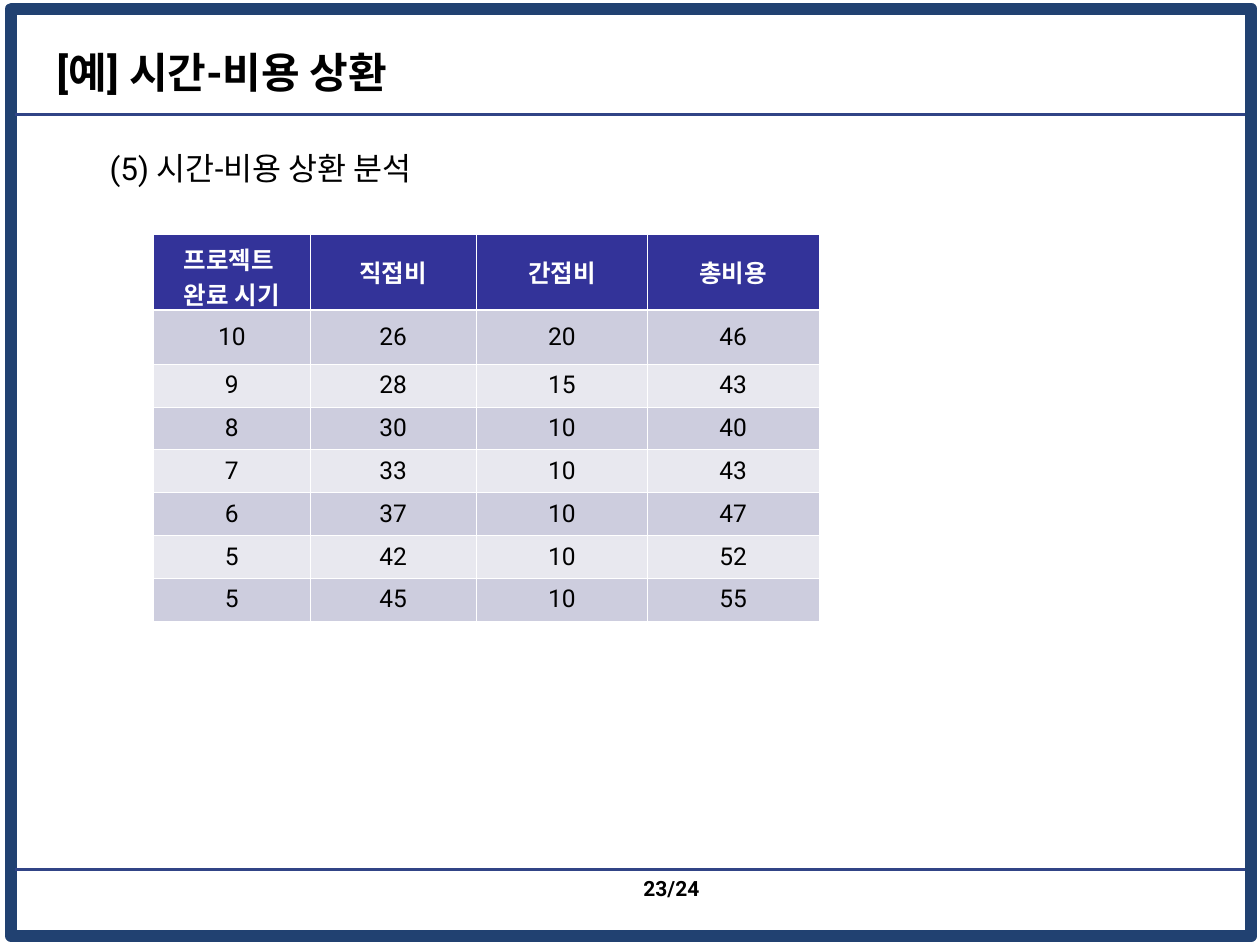
from dataclasses import dataclass

from lxml import etree
from pptx import Presentation
from pptx import util as u
from pptx.dml import color
from pptx.enum import shapes, text
from pptx.oxml import ns
from pptx.slide import Slide


def rgb(value):
    return color.RGBColor.from_string(value)


@dataclass
class CostSlide:
    slide: Slide
    font: str = "Roboto"
    ink: str = "000000"
    frame_color: str = "214171"
    rule_color: str = "314486"
    header_fill: str = "333399"
    bands: tuple = ("CDCDDE", "E8E8EF")
    grid_color: str = "FFFFFF"

    def style(self, paragraph, size, bold=False, ink=None):
        paragraph.font.name = self.font
        paragraph.font.size = u.Pt(size)
        paragraph.font.bold = bold
        paragraph.font.color.rgb = rgb(ink or self.ink)

    def place(self, holder, left, top, width, height):
        holder.left, holder.top = u.Inches(left), u.Inches(top)
        holder.width, holder.height = u.Inches(width), u.Inches(height)

    def frame(self, left, top, width, height):
        border = self.slide.shapes.add_shape(
            shapes.MSO_SHAPE.RECTANGLE,
            u.Inches(left), u.Inches(top), u.Inches(width), u.Inches(height))
        border.shadow.inherit = False
        border.fill.background()
        border.line.color.rgb = rgb(self.frame_color)
        border.line.width = u.Pt(7)

    def rule(self, left, right, top):
        line = self.slide.shapes.add_connector(
            shapes.MSO_CONNECTOR.STRAIGHT,
            u.Inches(left), u.Inches(top), u.Inches(right), u.Inches(top))
        line.line.color.rgb = rgb(self.rule_color)
        line.line.width = u.Pt(2)
        etree.SubElement(line._element.spPr, ns.qn("a:effectLst"))

    def title(self, wording, *box):
        heading = self.slide.shapes.title
        self.place(heading, *box)
        heading.text_frame.text = wording
        heading.text_frame.vertical_anchor = text.MSO_ANCHOR.MIDDLE
        heading.text_frame.auto_size = text.MSO_AUTO_SIZE.NONE
        paragraph = heading.text_frame.paragraphs[0]
        paragraph.alignment = text.PP_ALIGN.LEFT
        self.style(paragraph, 24, bold=True)

    def body(self, wording, *box):
        content = self.slide.placeholders[1]
        self.place(content, *box)
        content.text_frame.text = wording
        content.text_frame.auto_size = text.MSO_AUTO_SIZE.NONE
        paragraph = content.text_frame.paragraphs[0]
        paragraph.level = 1
        paragraph.line_spacing = 1.2
        paragraph.space_before = u.Pt(0)
        properties = paragraph._p.get_or_add_pPr()
        properties.set("marL", str(u.Inches(0.5)))
        properties.set("indent", "0")
        etree.SubElement(properties, ns.qn("a:buNone"))
        self.style(paragraph, 18)

    def page_number(self, wording, left, top, width, height):
        number = self.slide.shapes.add_textbox(
            u.Inches(left), u.Inches(top), u.Inches(width), u.Inches(height))
        number.text_frame.text = wording
        number.text_frame.word_wrap = False
        paragraph = number.text_frame.paragraphs[0]
        paragraph.alignment = text.PP_ALIGN.RIGHT
        self.style(paragraph, 12, bold=True)

    def borders(self, cell, row):
        heavy_side = {0: "lnB", 1: "lnT"}.get(row)
        properties = cell._tc.get_or_add_tcPr()
        for side in ("lnL", "lnR", "lnT", "lnB"):
            width = u.Pt(1.47 if side == heavy_side else 0.45)
            line = etree.SubElement(properties, ns.qn(f"a:{side}"), w=str(width))
            fill = etree.SubElement(line, ns.qn("a:solidFill"))
            etree.SubElement(fill, ns.qn("a:srgbClr"), val=self.grid_color)

    def table(self, rows, widths, heights, left, top):
        costs = self.slide.shapes.add_table(
            len(rows), len(widths), u.Inches(left), u.Inches(top),
            u.Inches(sum(widths)), u.Inches(sum(heights))).table
        for column, width in zip(costs.columns, widths):
            column.width = u.Inches(width)
        for r, (values, height) in enumerate(zip(rows, heights)):
            costs.rows[r].height = u.Inches(height)
            header = r == 0
            for c, value in enumerate(values):
                cell = costs.cell(r, c)
                cell.text_frame.text = str(value)
                cell.vertical_anchor = text.MSO_ANCHOR.MIDDLE
                self.borders(cell, r)
                cell.fill.solid()
                cell.fill.fore_color.rgb = rgb(
                    self.header_fill if header else self.bands[(r - 1) % 2])
                paragraph = cell.text_frame.paragraphs[0]
                paragraph.alignment = text.PP_ALIGN.CENTER
                self.style(paragraph, 14, header, "FFFFFF" if header else self.ink)


def main():
    deck = Presentation()
    deck.slide_width, deck.slide_height = u.Inches(10), u.Inches(7.5)
    page = CostSlide(deck.slides.add_slide(deck.slide_layouts[1]))

    page.frame(0.09, 0.07, 9.84, 7.36)
    for top in (0.91, 6.9):
        page.rule(0.12, 9.88, top)
    page.title("[예] 시간-비용 상환", 0.35, 0.3, 7.8, 0.54)
    page.body("(5) 시간-비용 상환 분석", 0.27, 1.07, 9.22, 5.67)
    page.page_number("23/24", 4.34, 6.9, 1.31, 0.33)

    headings = ("프로젝트 \v완료 시기", "직접비", "간접비", "총비용")
    costs = [(10, 26, 20), (9, 28, 15), (8, 30, 10), (7, 33, 10),
             (6, 37, 10), (5, 42, 10), (5, 45, 10)]
    rows = [headings] + [(time, direct, indirect, direct + indirect)
                         for time, direct, indirect in costs]
    page.table(rows, [1.24, 1.32, 1.36, 1.36], [0.6, 0.43] + [0.34] * 6, 1.22, 1.86)
    deck.save("out.pptx")


if __name__ == "__main__":
    main()
